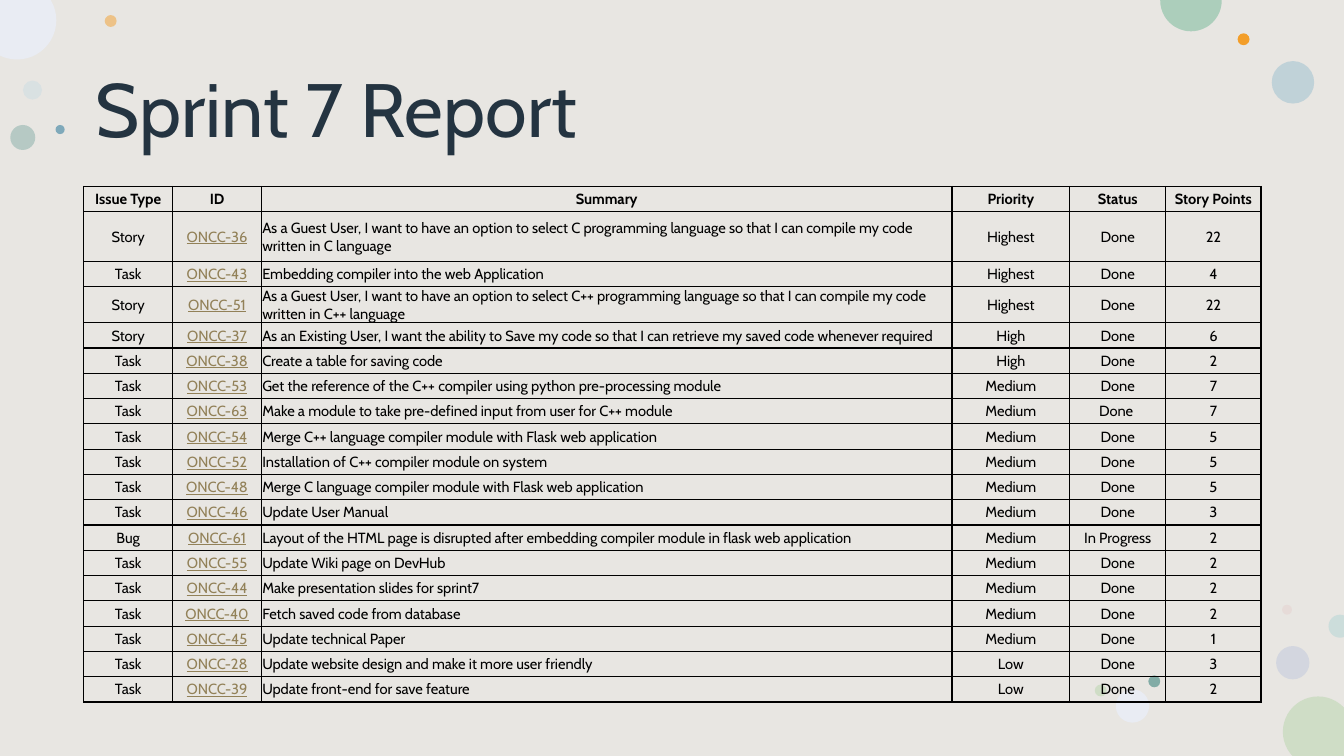
from lxml import etree
from pptx import Presentation
from pptx import util as u
from pptx.dml.color import RGBColor
from pptx.enum import shapes, text
from pptx.oxml import ns

TITLE = "Sprint 7 Report"
HEAD = ("Issue Type", "ID", "Summary", "Priority", "Status", "Story Points")
ISSUES = [
    ("Story", 36, "As a Guest User, I want to have an option to select C programming language so that I can compile my code written in C language", "Highest", "Done", 22),
    ("Task", 43, "Embedding compiler into the web Application", "Highest", "Done", 4),
    ("Story", 51, "As a Guest User, I want to have an option to select C++ programming language so that I can compile my code written in C++ language", "Highest", "Done", 22),
    ("Story", 37, "As an Existing User, I want the ability to Save my code so that I can retrieve my saved code whenever required", "High", "Done", 6),
    ("Task", 38, "Create a table for saving code", "High", "Done", 2),
    ("Task", 53, "Get the reference of the C++ compiler using python pre-processing module", "Medium", "Done", 7),
    ("Task", 63, "Make a module to take pre-defined input from user for C++ module", "Medium", "Done ", 7),
    ("Task", 54, "Merge C++ language compiler module with Flask web application", "Medium", "Done", 5),
    ("Task", 52, "Installation of C++ compiler module on system", "Medium", "Done", 5),
    ("Task", 48, "Merge C language compiler module with Flask web application", "Medium", "Done", 5),
    ("Task", 46, "Update User Manual", "Medium", "Done", 3),
    ("Bug", 61, "Layout of the HTML page is disrupted after embedding compiler module in flask web application", "Medium", "In Progress", 2),
    ("Task", 55, "Update Wiki page on DevHub", "Medium", "Done", 2),
    ("Task", 44, "Make presentation slides for sprint7", "Medium", "Done", 2),
    ("Task", 40, "Fetch saved code from database", "Medium", "Done", 2),
    ("Task", 45, "Update technical Paper", "Medium", "Done", 1),
    ("Task", 28, "Update website design and make it more user friendly", "Low", "Done", 3),
    ("Task", 39, "Update front-end for save feature", "Low", "Done", 2),
]
HUES = {
    "page": "E8E6E2", "title": "243441", "ink": "000000", "link": "928158",
    "mist": "CADCE3", "gold": "F39E29", "lilac": "BEC7DC", "teal": "82ACA6",
    "sky": "B1CAD5", "rose": "E3BEBE", "pale": "E9ECF3", "leaf": "CFDDC6",
    "mint": "ACCEBB", "blue": "7FA9BA", "aqua": "CCDDDB",
}
DISCS = [
    (0.58, 2.03, 0.48, "mist", 49),
    (2.64, 0.38, 0.3, "gold", 49),
    (32.16, 16.28, 0.84, "lilac", 49),
    (0.26, 3.15, 0.63, "teal", 49),
    (32.05, 1.54, 1.07, "sky", 71),
    (31.19, 0.84, 0.3, "gold", 100),
    (32.31, 15.24, 0.25, "rose", 27),
    (28.94, 17.02, 0.3, "teal", 100),
    (28.12, 17.37, 0.84, "pale", 100),
    (27.59, 17.25, 0.3, "leaf", 100),
    (32.33, 17.55, 1.78, "leaf", 100),
    (-0.56, -0.48, 1.98, "pale", 100),
    (29.24, -0.76, 1.55, "mint", 100),
    (1.4, 3.15, 0.23, "blue", 100),
    (33.48, 15.49, 0.58, "aqua", 100),
]
WIDE, HIGH = 33.87, 19.05
COLS = (2.24, 2.24, 17.4, 2.97, 2.42, 2.4)
ROW = 10.84 / 17
TALL = {1: 1.25}


def hue(name):
    return RGBColor.from_string(HUES[name])


def write(frame, words, size=10.5, tint="ink", bold=False, line=False,
          align=text.PP_ALIGN.CENTER, lead=None):
    para = frame.paragraphs[0]
    para.alignment = align
    para.line_spacing = lead
    run = para.add_run()
    run.text = words
    font = run.font
    font.name, font.size, font.bold = "Cabin", u.Pt(size), bold
    font.underline = line
    font.color.rgb = hue(tint)


def plain(slide, kind, left, top, wide, high, tint, alpha=100):
    shape = slide.shapes.add_shape(
        kind, u.Cm(left), u.Cm(top), u.Cm(wide), u.Cm(high))
    shape.shadow.inherit = False
    shape.line.fill.background()
    shape.fill.solid()
    shape.fill.fore_color.rgb = hue(tint)
    if alpha < 100:
        clr = shape.fill._xPr.find(".//" + ns.qn("a:srgbClr"))
        etree.SubElement(clr, ns.qn("a:alpha"), val=str(alpha * 1000))


def edge(cell):
    props = cell._tc.get_or_add_tcPr()
    for spot, side in enumerate(("lnL", "lnR", "lnT", "lnB")):
        rule = etree.Element(ns.qn("a:" + side), w=str(u.Pt(1)))
        fill = etree.SubElement(rule, ns.qn("a:solidFill"))
        etree.SubElement(fill, ns.qn("a:srgbClr"), val=HUES["ink"])
        props.insert(spot, rule)


def grid(slide):
    rows = [HEAD] + [(kind, f"ONCC-{num}", *rest) for kind, num, *rest in ISSUES]
    tall = [TALL.get(r, ROW) for r in range(len(rows))]
    table = slide.shapes.add_table(
        len(rows), len(COLS), u.Cm(2.11), u.Cm(4.7),
        u.Cm(sum(COLS)), u.Cm(sum(tall))).table
    table.first_row = table.horz_banding = False
    for col, wide in zip(table.columns, COLS):
        col.width = u.Cm(wide)
    for r, row in enumerate(rows):
        table.rows[r].height = u.Cm(tall[r])
        for c, words in enumerate(row):
            cell = table.cell(r, c)
            cell.margin_left = cell.margin_right = cell.margin_top = u.Cm(0.02)
            cell.margin_bottom = 0
            cell.vertical_anchor = text.MSO_ANCHOR.MIDDLE
            cell.fill.background()
            edge(cell)
            link = r > 0 and c == 1
            side = text.PP_ALIGN.LEFT if r and c == 2 else text.PP_ALIGN.CENTER
            write(cell.text_frame, str(words), bold=r == 0, line=link,
                  tint="link" if link else "ink", align=side)


def main():
    deck = Presentation()
    deck.slide_width, deck.slide_height = u.Cm(WIDE), u.Cm(HIGH)
    slide = deck.slides.add_slide(deck.slide_layouts[6])
    plain(slide, shapes.MSO_SHAPE.RECTANGLE, 0, 0, WIDE, HIGH, "page")
    for left, top, size, tint, alpha in DISCS:
        plain(slide, shapes.MSO_SHAPE.OVAL, left, top, size, size, tint, alpha)
    frame = slide.shapes.add_textbox(
        u.Cm(2.16), u.Cm(1.02), u.Cm(29.62), u.Cm(3.68)).text_frame
    frame.word_wrap = True
    frame.vertical_anchor = text.MSO_ANCHOR.MIDDLE
    write(frame, TITLE, size=54, tint="title", align=text.PP_ALIGN.LEFT, lead=0.9)
    grid(slide)
    deck.save("out.pptx")


if __name__ == "__main__":
    main()
